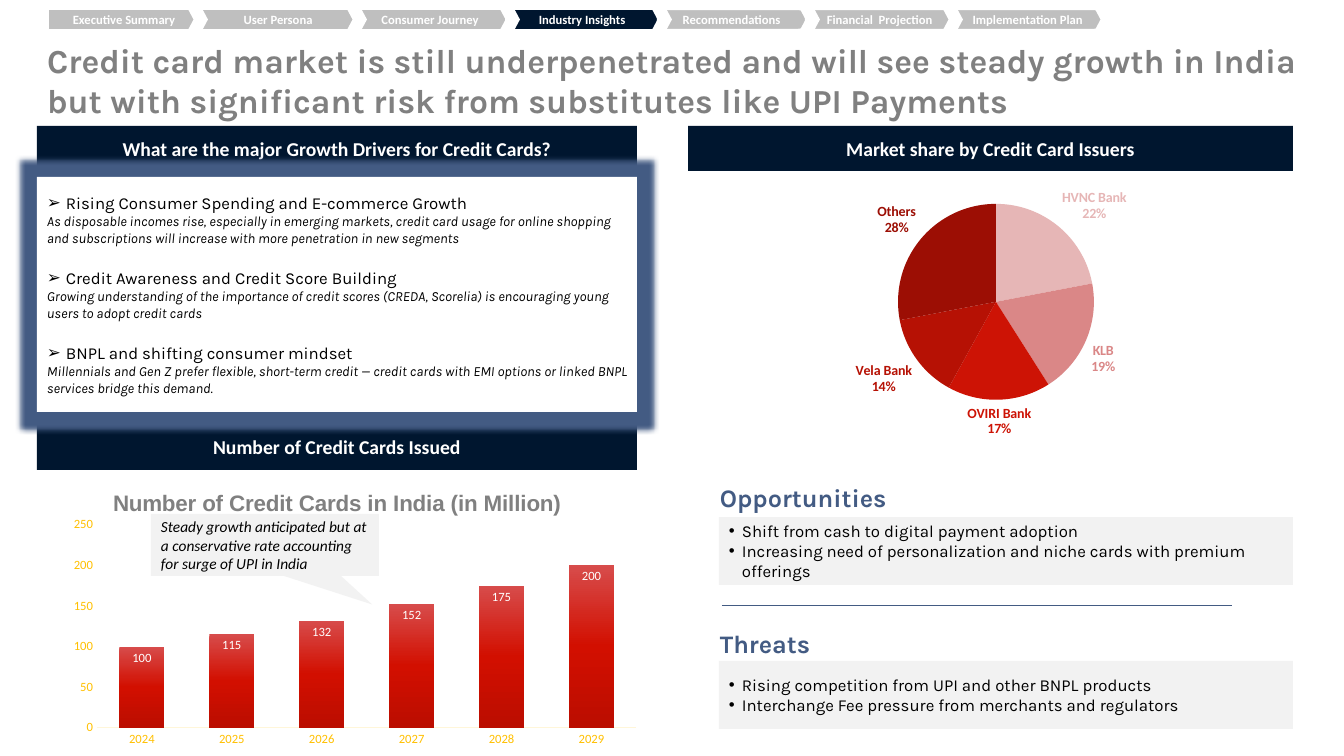
"""Build the credit card industry insights slide."""
from copy import deepcopy

from lxml.etree import SubElement
from pptx import Presentation
from pptx.chart.data import CategoryChartData
from pptx.dml.color import RGBColor
from pptx.enum.chart import XL_CHART_TYPE, XL_LABEL_POSITION, XL_TICK_MARK
from pptx.enum.shapes import MSO_CONNECTOR, MSO_SHAPE
from pptx.enum.text import MSO_ANCHOR, MSO_AUTO_SIZE, PP_ALIGN
from pptx.oxml import parse_xml
from pptx.oxml.ns import nsdecls, qn
from pptx.util import Emu, Pt

NAVY = RGBColor(0x00, 0x16, 0x2F)
SLATE = RGBColor(0x43, 0x5B, 0x83)
GRAY = RGBColor(0x80, 0x80, 0x80)
SILVER = RGBColor(0xBF, 0xBF, 0xBF)
PALE = RGBColor(0xF2, 0xF2, 0xF2)
WHITE = RGBColor(0xFF, 0xFF, 0xFF)
BLACK = RGBColor(0x00, 0x00, 0x00)
AMBER = RGBColor(0xFF, 0xC0, 0x00)
CREAM = RGBColor(0xFF, 0xF6, 0xD9)
BAR_STOPS = [(0, RGBColor(0xD7, 0x4C, 0x4B)), (0.5, RGBColor(0xD2, 0x0F, 0x00)),
             (1, RGBColor(0xBB, 0x0D, 0x00))]

TITLE = ("Credit card market is still underpenetrated and will see steady growth in India "
         "but with significant risk from substitutes like UPI Payments")
TABS = [("Executive Summary", 124, 188, 0), ("User Persona", 278, 347, 0),
        ("Consumer Journey", 430, 500, 0), ("Industry Insights", 582, 652, 0),
        ("Recommendations", 733, 800, 0.5), ("Financial  Projection", 881, 943, 0.5),
        ("Implementation Plan", 1029, 1095, 0.5)]
CURRENT_TAB = "Industry Insights"
BANNERS = [("Market share by Credit Card Issuers", (688, 126, 605, 45)),
           ("Number of Credit Cards Issued", (37, 424, 600, 46)),
           ("What are the major Growth Drivers for Credit Cards?", (37, 126, 600, 45))]
DRIVERS = [
    ("Rising Consumer Spending and E-commerce Growth",
     "As disposable incomes rise, especially in emerging markets, credit card usage for online "
     "shopping and subscriptions will increase with more penetration in new segments"),
    ("Credit Awareness and Credit Score Building",
     "Growing understanding of the importance of credit scores (CREDA, Scorelia) is encouraging "
     "young users to adopt credit cards"),
    ("BNPL and shifting consumer mindset",
     "Millennials and Gen Z prefer flexible, short-term credit — credit cards with EMI options "
     "or linked BNPL services bridge this demand."),
]
OUTLOOK = [
    ("Opportunities", 477, 517, ["Shift from cash to digital payment adoption",
     "Increasing need of personalization and niche cards with premium offerings"]),
    ("Threats", 623, 661, ["Rising competition from UPI and other BNPL products",
     "Interchange Fee pressure from merchants and regulators"]),
]
CALLOUT = ("Steady growth anticipated but at a conservative rate accounting for surge "
           "of UPI in India")
CARDS_TITLE = "Number of Credit Cards in India (in Million)"
CARDS = {"2024": 100, "2025": 115, "2026": 132, "2027": 152, "2028": 175, "2029": 200}
ISSUERS = [("HVNC Bank", 22, RGBColor(0xE6, 0xB6, 0xB6)), ("KLB", 19, RGBColor(0xDA, 0x87, 0x87)),
           ("OVIRI Bank", 17, RGBColor(0xCD, 0x13, 0x05)),
           ("Vela Bank", 14, RGBColor(0xB6, 0x11, 0x04)),
           ("Others", 28, RGBColor(0x9C, 0x0E, 0x04))]


def px(*lengths):
    """Turn pixel lengths into EMU."""
    return [Emu(round(length * 914400 / 100.8)) for length in lengths]


def apply(target, **formats):
    """Set each attribute in formats on the target."""
    for name, value in formats.items():
        setattr(target, name, value)


def style(font, size, color, name="Calibri", **formats):
    """Format a font."""
    apply(font, size=Pt(size), name=name, **formats)
    font.color.rgb = color


def write(paragraph, text, size, color, name="Calibri", bullet=None, indent=0, **formats):
    """Put one formatted run, with an optional bullet, in a paragraph."""
    if bullet:
        properties = paragraph._p.get_or_add_pPr()
        margin = px(indent)[0]
        properties.set("marL", str(margin))
        properties.set("indent", str(-margin))
        SubElement(properties, qn("a:buFont")).set("typeface", "Arial")
        SubElement(properties, qn("a:buChar")).set("char", bullet)
    run = paragraph.add_run()
    run.text = text
    style(run.font, size, color, name, **formats)


def add_block(slide, kind, box, fill):
    """Add a flat shape with left-aligned, middle-anchored text."""
    shape = slide.shapes.add_shape(kind, *px(*box))
    shape.shadow.inherit = False
    shape.fill.solid()
    shape.fill.fore_color.rgb = fill
    shape.line.fill.background()
    apply(shape.text_frame, word_wrap=True, vertical_anchor=MSO_ANCHOR.MIDDLE)
    shape.text_frame.paragraphs[0].alignment = PP_ALIGN.LEFT
    return shape


def next_paragraph(frame, index):
    """Return the first paragraph or a new left-aligned one."""
    paragraph = frame.add_paragraph() if index else frame.paragraphs[0]
    paragraph.alignment = PP_ALIGN.LEFT
    return paragraph


def place(parent, position, x, y, width=None, height=None):
    """Give a chart part a manual layout."""
    sizes = "" if width is None else f'<c:w val="{width}"/><c:h val="{height}"/>'
    target = "" if width is None else '<c:layoutTarget val="inner"/>'
    for old in parent.findall(qn("c:layout")):
        parent.remove(old)
    parent.insert(position, parse_xml(
        f'<c:layout {nsdecls("c")}><c:manualLayout>{target}<c:xMode val="edge"/>'
        f'<c:yMode val="edge"/><c:x val="{x}"/><c:y val="{y}"/>{sizes}'
        '</c:manualLayout></c:layout>'))


def add_chart(slide, kind, box, names, values):
    """Add a one-series chart without a legend."""
    data = CategoryChartData()
    data.categories = names
    data.add_series("Series 1", values)
    chart = slide.shapes.add_chart(kind, *px(*box), data).chart
    chart.has_legend = False
    style(chart.font, 10, BLACK)
    return chart


def add_cards_chart(slide):
    """Add the column chart of cards issued."""
    chart = add_chart(slide, XL_CHART_TYPE.COLUMN_CLUSTERED, (37, 468, 600, 284),
                      list(CARDS), list(CARDS.values()))
    paragraph = chart.chart_title.text_frame.paragraphs[0]
    write(paragraph, CARDS_TITLE, 16, GRAY, "Arial", bold=True)
    place(chart.chart_title._element, 1, 0.12, 0.06)
    place(chart._chartSpace.chart.plotArea, 0, 0.1, 0.2, 0.9, 0.715)
    for axis in (chart.category_axis, chart.value_axis):
        apply(axis, major_tick_mark=XL_TICK_MARK.NONE, has_major_gridlines=False)
        style(axis.tick_labels.font, 9, AMBER)
    chart.category_axis.format.line.color.rgb = CREAM
    chart.category_axis.format.line.width = Pt(0.75)
    apply(chart.value_axis, minimum_scale=0, maximum_scale=250, major_unit=50)
    chart.value_axis.format.line.fill.background()
    plot = chart.plots[0]
    apply(plot, gap_width=100, overlap=-24, vary_by_categories=False, has_data_labels=True)
    apply(plot.data_labels, show_value=True, position=XL_LABEL_POSITION.INSIDE_END)
    style(plot.data_labels.font, 9, WHITE)
    fill = plot.series[0].format.fill
    fill.gradient()
    fill.gradient_angle = 270
    stops = plot.series[0]._element.xpath(".//a:gsLst")[0]
    stops.append(deepcopy(stops[0]))
    for stop, (position, color) in zip(fill.gradient_stops, BAR_STOPS):
        stop.position = position
        stop.color.rgb = color


def add_issuer_chart(slide):
    """Add the pie chart of market share."""
    names, shares, colors = zip(*ISSUERS)
    chart = add_chart(slide, XL_CHART_TYPE.PIE, (693, 167, 600, 284), names, shares)
    chart.has_title = False
    place(chart._chartSpace.chart.plotArea, 0, 0.34, 0.13, 0.33, 0.69)
    series = chart.plots[0].series[0]
    for index, color in enumerate(colors):
        point = series.points[index]
        point.format.fill.solid()
        point.format.fill.fore_color.rgb = color
        style(point.data_label.font, 10, color, bold=True)
        point.data_label.position = XL_LABEL_POSITION.OUTSIDE_END
    for label in series._element.xpath(".//c:dLbl"):
        for tag, shown in (("c:showVal", "0"), ("c:showCatName", "1"), ("c:showPercent", "1")):
            label.find(qn(tag)).set("val", shown)
        SubElement(label, qn("c:separator")).text = "\n"


def add_tabs(slide):
    """Add the navigation strip with its white notches."""
    for text, center, _, rounding in TABS:
        fill = NAVY if text == CURRENT_TAB else SILVER
        tab = add_block(slide, MSO_SHAPE.ROUND_2_SAME_RECTANGLE, (center - 10, -56, 20, 151), fill)
        tab.rotation = 90
        tab.adjustments[0] = rounding
        tab.line.color.rgb = WHITE
        tab.line.width = Pt(1)
        frame = tab.text_frame
        apply(frame, margin_left=0, margin_right=0, margin_top=0, margin_bottom=0)
        frame._txBody.bodyPr.set("vert", "vert270")
        frame.paragraphs[0].alignment = PP_ALIGN.CENTER
        write(frame.paragraphs[0], text, 9, WHITE, bold=True)
    for _, _, left, _ in TABS:
        add_block(slide, MSO_SHAPE.CHEVRON, (left, 9, 20, 21), WHITE).adjustments[0] = 0.28


def add_drivers(slide):
    """Add the glowing panel of growth drivers."""
    panel = add_block(slide, MSO_SHAPE.RECTANGLE, (37, 177, 600, 235), WHITE)
    panel._element.spPr.find(qn("a:effectLst")).append(parse_xml(
        f'<a:glow {nsdecls("a")} rad="101600"><a:srgbClr val="{SLATE}"/></a:glow>'))
    for index, (heading, detail) in enumerate(DRIVERS):
        paragraph = next_paragraph(panel.text_frame, index)
        write(paragraph, heading, 12, BLACK, "Karla", "➢", 19)
        if index:
            paragraph.space_before = Pt(15)
        write(next_paragraph(panel.text_frame, 1), detail, 10, BLACK, "Karla", italic=True)


def add_outlook(slide):
    """Add opportunities and threats with the rule between them."""
    for heading, heading_top, panel_top, points in OUTLOOK:
        box = slide.shapes.add_textbox(*px(710, heading_top, 286, 40))
        box.text_frame.word_wrap = True
        write(box.text_frame.paragraphs[0], heading, 18, SLATE, "Karla", bold=True)
        panel = add_block(slide, MSO_SHAPE.RECTANGLE, (719, panel_top, 574, 68), PALE)
        for index, point in enumerate(points):
            write(next_paragraph(panel.text_frame, index), point, 12, BLACK, "Karla", "•", 13)
    rule = slide.shapes.add_connector(MSO_CONNECTOR.STRAIGHT, *px(722, 605, 1232, 605))
    rule.line.color.rgb = SLATE
    rule.line.width = Pt(0.5)
    SubElement(rule._element.spPr, qn("a:effectLst"))


def main():
    """Build and save the slide."""
    presentation = Presentation()
    presentation.slide_width, presentation.slide_height = px(1344, 756)
    slide = presentation.slides.add_slide(presentation.slide_layouts[5])
    title = slide.shapes.title
    apply(title, **dict(zip(("left", "top", "width", "height"), px(37, 35, 1282, 92))))
    apply(title.text_frame, word_wrap=True, vertical_anchor=MSO_ANCHOR.TOP,
          auto_size=MSO_AUTO_SIZE.SHAPE_TO_FIT_TEXT)
    title.text_frame.paragraphs[0].alignment = PP_ALIGN.LEFT
    write(title.text_frame.paragraphs[0], TITLE, 24, GRAY, "Karla", bold=True)
    add_cards_chart(slide)
    add_issuer_chart(slide)
    for text, box in BANNERS:
        paragraph = add_block(slide, MSO_SHAPE.RECTANGLE, box, NAVY).text_frame.paragraphs[0]
        paragraph.alignment = PP_ALIGN.CENTER
        write(paragraph, text, 14, WHITE, bold=True)
    callout = add_block(slide, MSO_SHAPE.RECTANGULAR_CALLOUT, (151, 514, 228, 62), PALE)
    callout.adjustments[0], callout.adjustments[1] = 0.47, 0.96
    write(callout.text_frame.paragraphs[0], CALLOUT, 11, BLACK, italic=True)
    add_drivers(slide)
    add_outlook(slide)
    add_tabs(slide)
    presentation.save("out.pptx")


if __name__ == "__main__":
    main()
